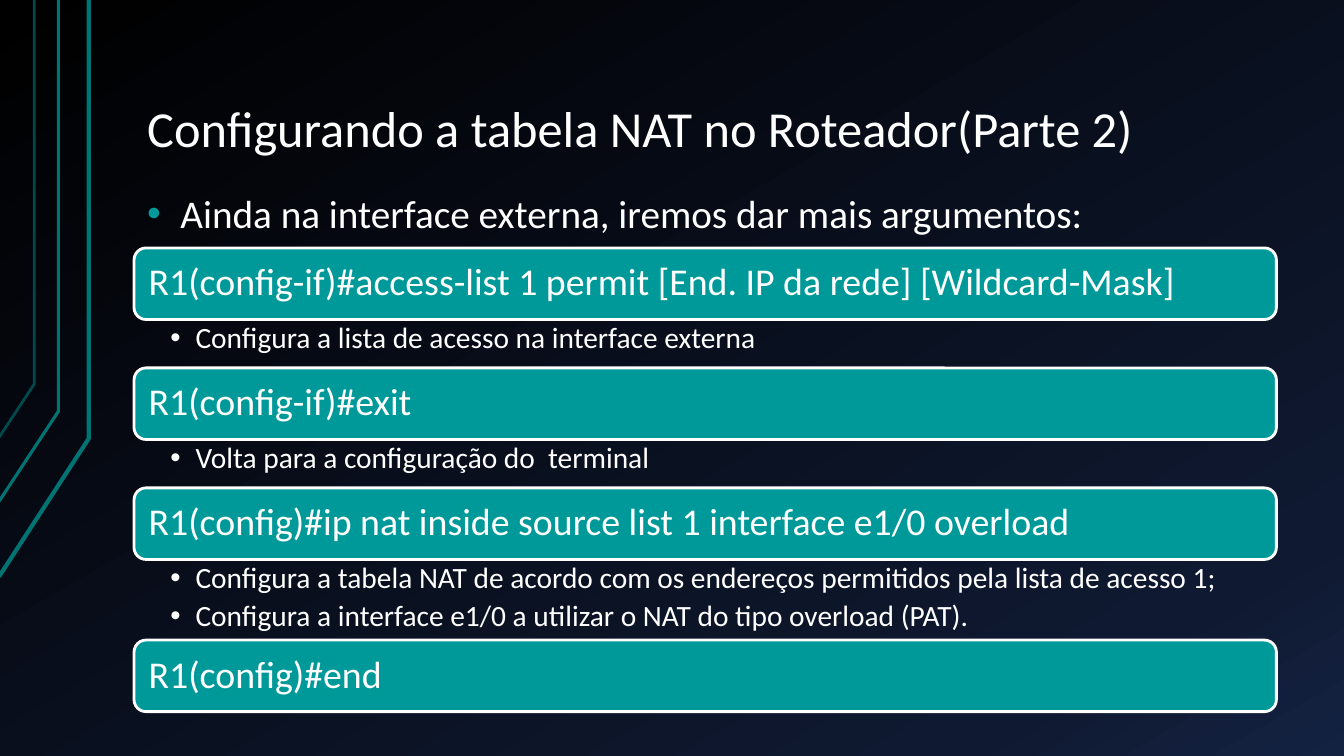
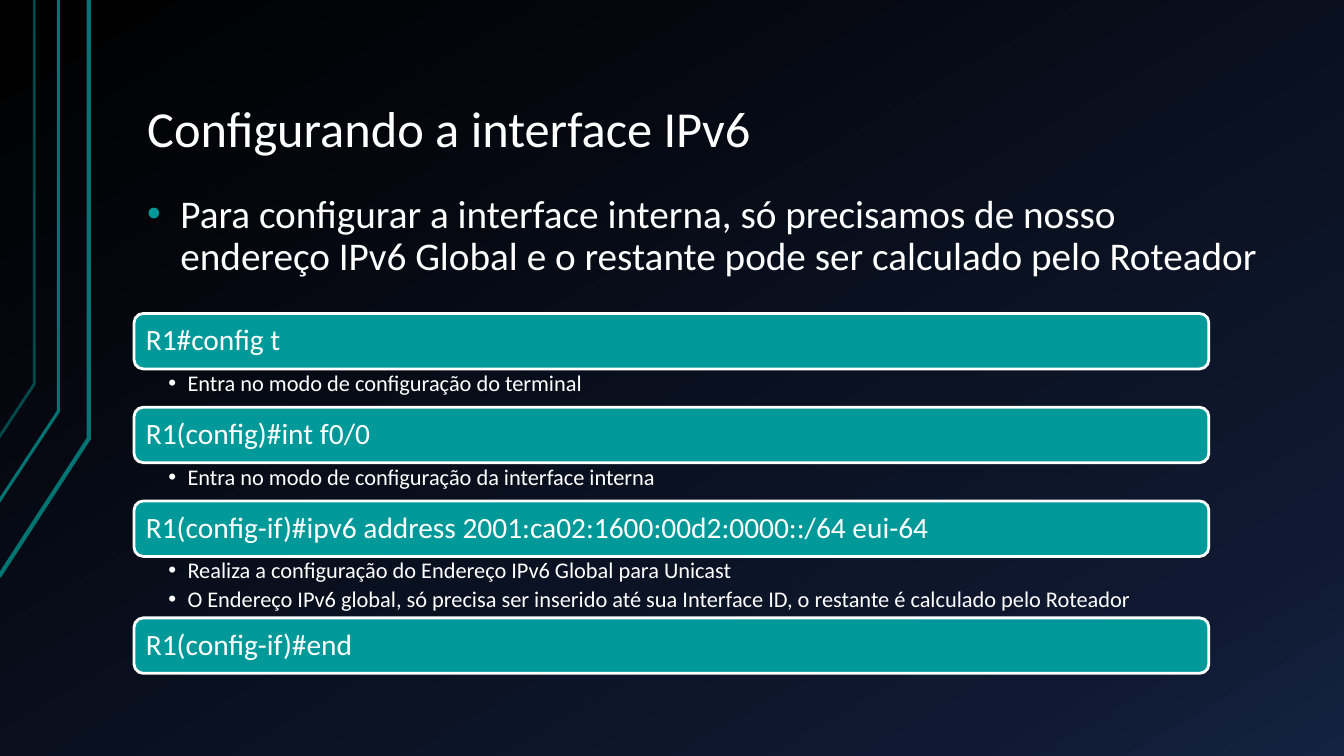
from dataclasses import dataclass

from lxml import etree
from copy import deepcopy
from pptx import Presentation
from pptx.dml.color import RGBColor
from pptx.enum import shapes, text
from pptx.oxml.ns import qn
from pptx.util import Inches, Pt


@dataclass(frozen=True)
class Theme:
    font: str = "Calibri"
    ink: str = "FFFFFF"
    accent: str = "009999"
    trace: str = "007373"
    faint_trace: str = "004A4A"
    backdrop: tuple = ((0, "000000"), (0.85, "0F1931"), (1, "142242"))
    title_size: int = 36
    intro_size: int = 28
    line_spacing: float = 0.9


@dataclass(frozen=True)
class Scale:
    """Measures of one command list, in inches and points."""
    top: float
    width: float
    bar_height: float
    bar_margin: float
    note_heights: dict
    note_margins: tuple
    note_indent: float
    command_size: int
    note_size: int


THEME = Theme()
LEFT, TITLE_TOP, INTRO_TOP = 1.33, 0.3, 1.86
TEXT_WIDTH, TITLE_HEIGHT = 11.33, 1.34
TEXT_MARGINS = (0.13, 0.07, 0.13, 0.07)

LARGE = Scale(2.46, 11.33, 0.71, 0.11, {1: 0.48, 2: 0.8},
              (0.36, 0.04, 0.21, 0.04), 0.25, 27, 21)
SMALL = Scale(3.11, 10.66, 0.55, 0.09, {1: 0.38, 2: 0.61},
              (0.34, 0.03, 0.16, 0.03), 0.19, 21, 16)

# Points, line width, colour
TRACES = [
    ([(-0.01, 5.72), (0.88, 4.35), (0.88, 0)], 3, THEME.trace),
    ([(-0.02, 4.99), (0.58, 4.08), (0.58, 0)], 2.25, THEME.trace),
    ([(-0.01, 4.34), (0.34, 3.81), (0.34, 0)], 2, THEME.faint_trace),
]

SLIDES = [
    {
        "title": "Configurando a tabela NAT no Roteador(Parte 2)",
        "intro": "Ainda na interface externa, iremos dar mais argumentos:",
        "scale": LARGE,
        "commands": [
            ("R1(config-if)#access-list 1 permit [End. IP da rede] [Wildcard-Mask]",
             ["Configura a lista de acesso na interface externa"]),
            ("R1(config-if)#exit", ["Volta para a configuração do  terminal"]),
            ("R1(config)#ip nat inside source list 1 interface e1/0 overload",
             ["Configura a tabela NAT de acordo com os endereços permitidos pela lista de acesso 1;",
              "Configura a interface e1/0 a utilizar o NAT do tipo overload (PAT)."]),
            ("R1(config)#end", []),
        ],
    },
    {
        "title": "Configurando a interface IPv6",
        "intro": "Para configurar a interface interna, só precisamos de nosso endereço "
                 "IPv6 Global e o restante pode ser calculado pelo Roteador",
        "scale": SMALL,
        "commands": [
            ("R1#config t", ["Entra no modo de configuração do terminal"]),
            ("R1(config)#int f0/0", ["Entra no modo de configuração da interface interna"]),
            ("R1(config-if)#ipv6 address 2001:ca02:1600:00d2:0000::/64 eui-64",
             ["Realiza a configuração do Endereço IPv6 Global para Unicast",
              "O Endereço IPv6 global, só precisa ser inserido até sua Interface ID, "
              "o restante é calculado pelo Roteador"]),
            ("R1(config-if)#end", []),
        ],
    },
]


def rgb(color):
    return RGBColor.from_string(color)


def box(left, top, width, height):
    return [Inches(side) for side in (left, top, width, height)]


def add_bullet(paragraph, indent, color):
    props = paragraph._p.get_or_add_pPr()
    props.set("marL", str(Inches(indent)))
    props.set("indent", str(-Inches(indent)))
    bullet_color = etree.SubElement(props, qn("a:buClr"))
    etree.SubElement(bullet_color, qn("a:srgbClr"), val=color)
    etree.SubElement(props, qn("a:buFont"), typeface="Arial")
    etree.SubElement(props, qn("a:buChar"), char="•")


def write(shape, lines, size, margins, anchor=text.MSO_ANCHOR.TOP,
          indent=None, bullet_color=THEME.ink, space_after=0):
    """Fill a shape with styled paragraphs, bulleted when an indent is given."""
    frame = shape.text_frame
    frame.text = "\n".join(lines)
    frame.word_wrap = True
    frame.auto_size = text.MSO_AUTO_SIZE.NONE
    frame.vertical_anchor = anchor
    (frame.margin_left, frame.margin_top,
     frame.margin_right, frame.margin_bottom) = [Inches(m) for m in margins]
    for paragraph in frame.paragraphs:
        paragraph.alignment = text.PP_ALIGN.LEFT
        paragraph.line_spacing = THEME.line_spacing
        paragraph.space_after = Pt(space_after)
        if indent:
            add_bullet(paragraph, indent, bullet_color)
        for run in paragraph.runs:
            run.font.name = THEME.font
            run.font.size = Pt(size)
            run.font.color.rgb = rgb(THEME.ink)


def paint_backdrop(layout):
    fill = layout.background.fill
    fill.gradient()
    fill.gradient_angle = 300
    stop_list = next(layout.element.iter(qn("a:gsLst")))
    stop_list.insert(1, deepcopy(stop_list[0]))
    for stop, (position, color) in zip(fill.gradient_stops, THEME.backdrop):
        stop.position = position
        stop.color.rgb = rgb(color)


def draw_traces(slide):
    """Draw the angled lines and hand them to the layout, which all slides share."""
    for points, width, color in TRACES:
        start, *rest = [(Inches(x), Inches(y)) for x, y in points]
        builder = slide.shapes.build_freeform(*start)
        builder.add_line_segments(rest, close=False)
        trace = builder.convert_to_shape()
        trace.shadow.inherit = False
        trace.fill.background()
        trace.line.color.rgb = rgb(color)
        trace.line.width = Pt(width)
        slide.slide_layout.shapes.element.append(trace.element)


def add_command_list(slide, commands, scale):
    top = scale.top
    for command, notes in commands:
        bar = slide.shapes.add_shape(
            shapes.MSO_SHAPE.ROUNDED_RECTANGLE,
            *box(LEFT, top, scale.width, scale.bar_height))
        bar.shadow.inherit = False
        bar.fill.solid()
        bar.fill.fore_color.rgb = rgb(THEME.accent)
        bar.line.color.rgb = rgb(THEME.ink)
        bar.line.width = Pt(2)
        write(bar, [command], scale.command_size, [scale.bar_margin] * 4,
              text.MSO_ANCHOR.MIDDLE)
        top += scale.bar_height
        if notes:
            height = scale.note_heights[len(notes)]
            note_box = slide.shapes.add_textbox(*box(LEFT, top, scale.width, height))
            write(note_box, notes, scale.note_size, scale.note_margins,
                  indent=scale.note_indent, space_after=scale.note_size * 0.2)
            top += height


def add_slide(deck, layout, content):
    slide = deck.slides.add_slide(layout)
    title = slide.shapes.title
    title.left, title.top, title.width, title.height = box(
        LEFT, TITLE_TOP, TEXT_WIDTH, TITLE_HEIGHT)
    write(title, [content["title"]], THEME.title_size, TEXT_MARGINS,
          text.MSO_ANCHOR.BOTTOM)
    scale = content["scale"]
    intro = slide.shapes.add_textbox(
        *box(LEFT, INTRO_TOP, TEXT_WIDTH, scale.top - INTRO_TOP))
    write(intro, [content["intro"]], THEME.intro_size, TEXT_MARGINS,
          indent=0.33, bullet_color=THEME.accent)
    add_command_list(slide, content["commands"], scale)
    return slide


def main():
    deck = Presentation()
    deck.slide_width, deck.slide_height = Inches(13.33), Inches(7.5)
    title_only = deck.slide_layouts[5]
    paint_backdrop(title_only)
    first, *_ = [add_slide(deck, title_only, content) for content in SLIDES]
    draw_traces(first)
    deck.save("out.pptx")


if __name__ == "__main__":
    main()
